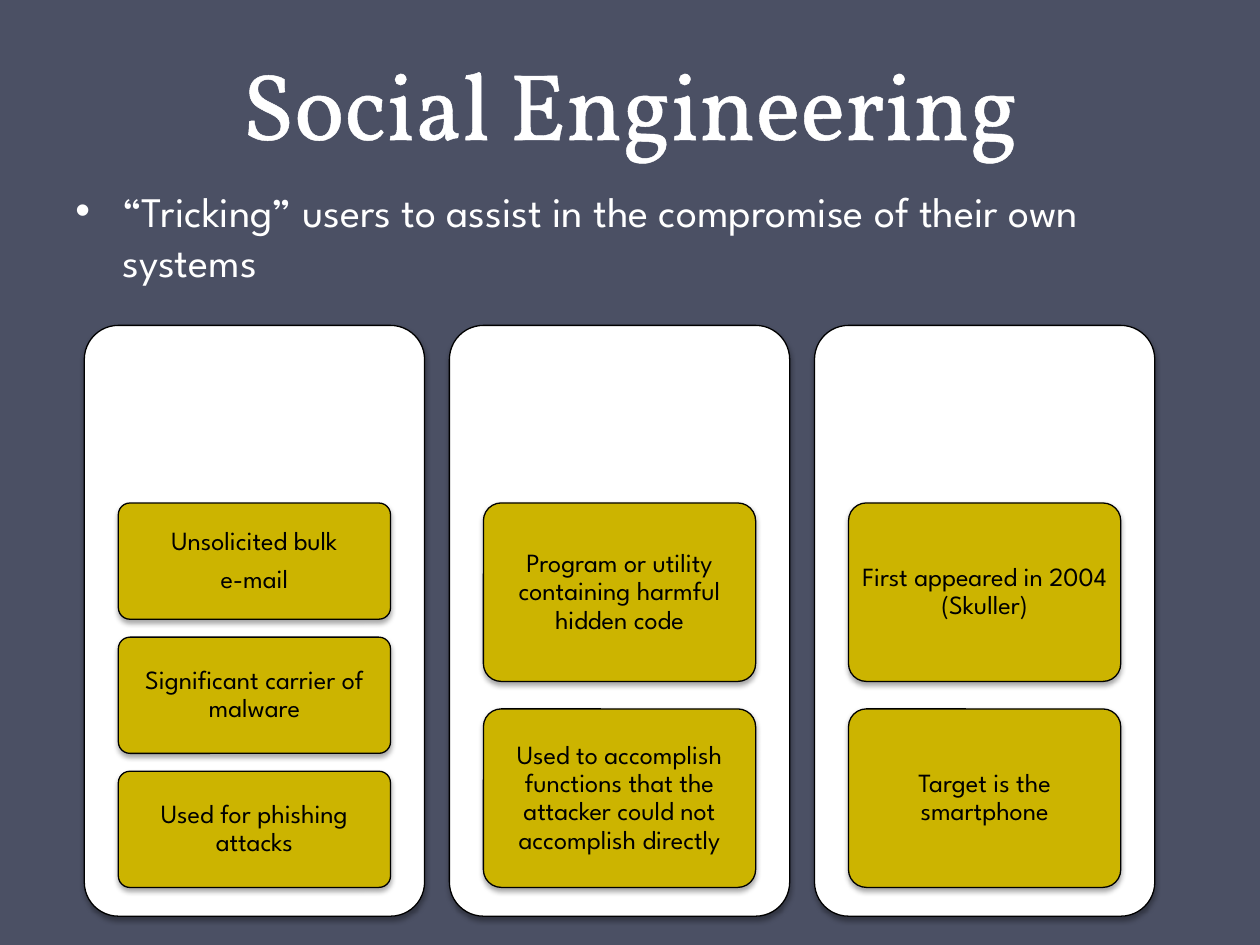
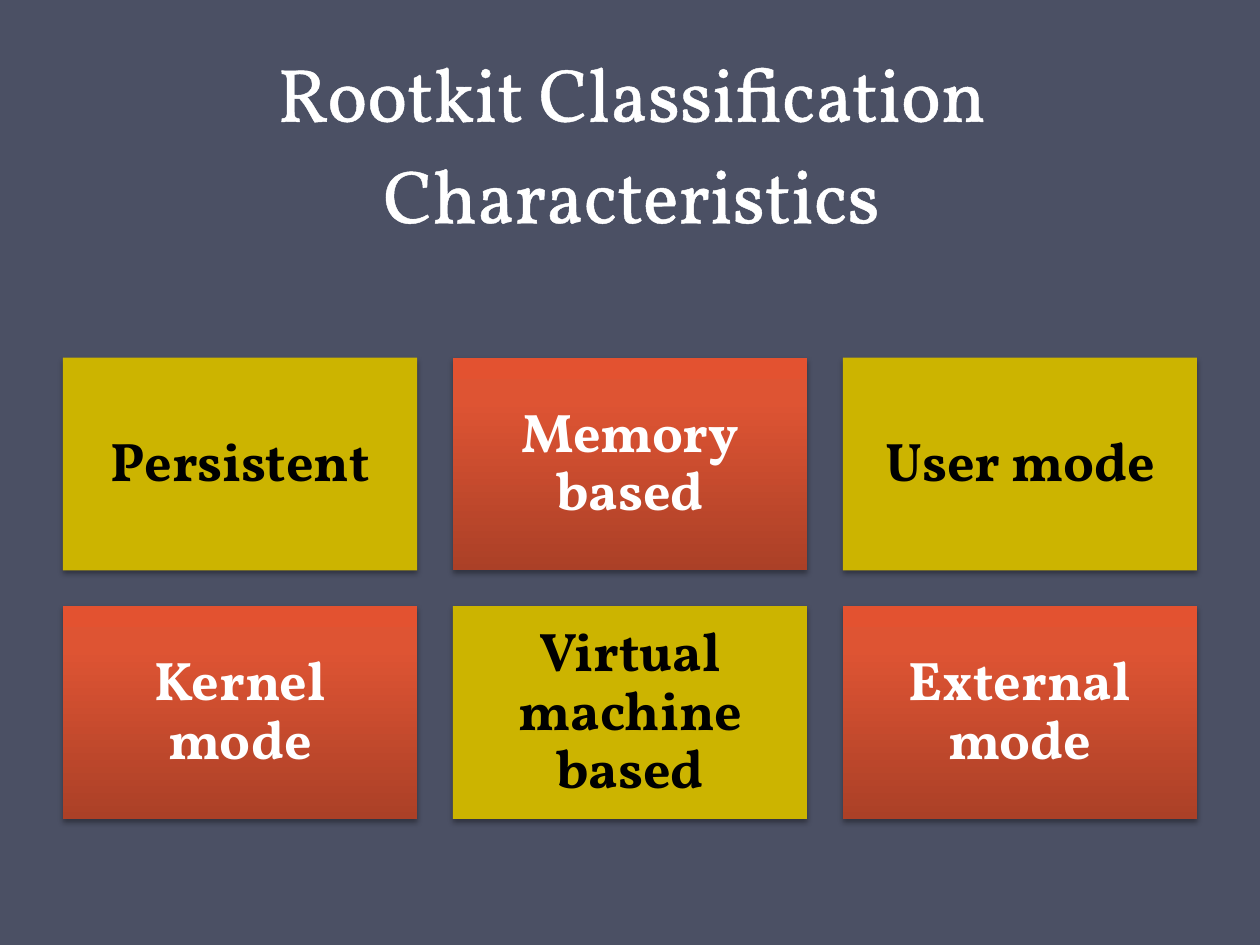
from lxml import etree
from pptx import Presentation
from pptx import util as u
from pptx.dml.color import RGBColor
from pptx.enum import shapes, text
from pptx.oxml import parse_xml
from pptx.oxml.ns import nsdecls, qn

HUES = {"slate": "4B5064", "white": "FFFFFF", "black": "000000", "gold": "CCB400"}
RUST = [(0, "AB4027"), (80, "DE5433"), (100, "E35230")]
SERIF, SANS = "Vollkorn", "League Spartan"

# title, size, box in cm
TITLES = [
    ("Social Engineering", 54, (1.27, 0, 22.86, 3.33)),
    ("Rootkit Classification Characteristics", 43, (1.3, 0.33, 22.86, 4.6)),
]
LEAD = "“Tricking” users to assist in the compromise of their own systems"
# columns of cards, each card a list of paragraphs
PANELS = [
    [["Unsolicited bulk", "e-mail"], ["Significant carrier of malware"],
     ["Used for phishing attacks"]],
    [["Program or utility containing harmful hidden code"],
     ["Used to accomplish functions that the attacker could not accomplish directly"]],
    [["First appeared in 2004 (Skuller)"], ["Target is the smartphone"]],
]
TRAITS = ["Persistent", "Memory based", "User mode",
          "Kernel mode", "Virtual machine based", "External mode"]


def rgb(hue):
    return RGBColor.from_string(HUES[hue])


def cms(box):
    return [u.Cm(side) for side in box]


def add_run(para, words, face, size, hue, bold=False):
    run = para.add_run()
    run.text = words
    font = run.font
    font.name, font.size, font.bold = face, u.Pt(size), bold
    font.color.rgb = rgb(hue)
    return run


def add_title(slide, words, size, box):
    """Fill the title placeholder with thinly outlined text."""
    title = slide.shapes.title
    title.left, title.top, title.width, title.height = cms(box)
    frame = title.text_frame
    frame.auto_size = text.MSO_AUTO_SIZE.NONE
    frame.vertical_anchor = text.MSO_ANCHOR.BOTTOM
    para = frame.paragraphs[0]
    para.alignment = text.PP_ALIGN.CENTER
    para.line_spacing = u.Pt(58)
    run = add_run(para, words, SERIF, size, "white")
    run.font._element.insert(0, parse_xml(
        f'<a:ln {nsdecls("a")} w="{u.Pt(1.45)}"><a:solidFill>'
        f'<a:srgbClr val="{HUES["white"]}"/></a:solidFill></a:ln>'))


def add_lead(slide, words):
    lead = slide.shapes.add_textbox(*cms((1.27, 3.61, 22.86, 3.61)))
    lead.text_frame.word_wrap = True
    para = lead.text_frame.paragraphs[0]
    para.space_before = u.Pt(5)
    props = para._p.get_or_add_pPr()
    props.set("marL", str(u.Cm(0.95)))
    props.set("indent", str(-u.Cm(0.95)))
    etree.SubElement(props, qn("a:buFont")).set("typeface", "Arial")
    etree.SubElement(props, qn("a:buChar")).set("char", "•")
    add_run(para, words, SANS, 24, "white")


def blend(fill, stops):
    """Apply a vertical gradient, first stop at the bottom."""
    fill.gradient()
    fill.gradient_angle = 90
    track = fill._xPr.find(qn("a:gradFill")).find(qn("a:gsLst"))
    track[:] = [parse_xml(f'<a:gs {nsdecls("a")} pos="{pos * 1000}">'
                          f'<a:srgbClr val="{tone}"/></a:gs>') for pos, tone in stops]


def add_block(slide, kind, box, hue, lined=False):
    """Add a shape with a soft shadow below; no hue gives the rust gradient."""
    block = slide.shapes.add_shape(kind, *cms(box))
    if hue:
        block.fill.solid()
        block.fill.fore_color.rgb = rgb(hue)
    else:
        blend(block.fill, RUST)
    if lined:
        block.line.color.rgb = rgb("black")
        block.line.width = u.Pt(0.75)
    else:
        block.line.fill.background()
    block.shadow.inherit = False
    block._element.spPr.find(qn("a:effectLst")).append(parse_xml(
        f'<a:outerShdw {nsdecls("a")} blurRad="{u.Pt(3.1)}" dist="{u.Pt(1.8)}" '
        f'dir="5400000" rotWithShape="0"><a:srgbClr val="{HUES["black"]}">'
        '<a:alpha val="35000"/></a:srgbClr></a:outerShdw>'))
    return block


def add_card(slide, box, lines):
    card = add_block(slide, shapes.MSO_SHAPE.ROUNDED_RECTANGLE, box, "gold", True)
    card.adjustments[0] = 0.1
    write(card, lines, (0.1, 0.08), SANS, 15, "black")


def write(block, lines, pads, face, size, hue, bold=False):
    frame = block.text_frame
    frame.word_wrap = True
    frame.vertical_anchor = text.MSO_ANCHOR.MIDDLE
    frame.margin_left = frame.margin_right = u.Cm(pads[0])
    frame.margin_top = frame.margin_bottom = u.Cm(pads[1])
    for at, line in enumerate(lines):
        para = frame.add_paragraph() if at else frame.paragraphs[0]
        para.alignment = text.PP_ALIGN.CENTER
        para.line_spacing = 0.9
        para.space_after = u.Pt(0.37 * size)
        add_run(para, line, face, size, hue, bold)


def add_panels(slide):
    left, top, wide, high, step = 1.7, 6.56, 6.86, 11.91, 7.36
    start, span, ratio = 10.14, 7.75, 0.154  # card stack; gap as share of card
    for col, cards in enumerate(PANELS):
        x = left + col * step
        panel = add_block(slide, shapes.MSO_SHAPE.ROUNDED_RECTANGLE,
                          (x, top, wide, high), "white", True)
        panel.adjustments[0] = 0.1
        tall = span / (len(cards) + ratio * (len(cards) - 1))
        for row, lines in enumerate(cards):
            y = start + row * tall * (1 + ratio)
            add_card(slide, (x + wide / 10, y, wide * 0.8, tall), lines)


def add_tiles(slide):
    left, top, wide, high, gap = 1.27, 7.21, 7.14, 4.29, 0.72
    for at, trait in enumerate(TRAITS):
        row, col = divmod(at, 3)
        box = (left + col * (wide + gap), top + row * (high + gap), wide, high)
        gold = at % 2 == 0
        tile = add_block(slide, shapes.MSO_SHAPE.RECTANGLE, box, "gold" if gold else None)
        write(tile, [trait], (0.33, 0.33), SERIF, 31, "black" if gold else "white", True)


def main():
    deck = Presentation()
    deck.slide_width, deck.slide_height = u.Cm(25.4), u.Cm(19.05)
    back = deck.slide_master.background.fill
    back.solid()
    back.fore_color.rgb = rgb("slate")
    pages = []
    for title in TITLES:
        page = deck.slides.add_slide(deck.slide_layouts[5])
        add_title(page, *title)
        pages.append(page)
    add_lead(pages[0], LEAD)
    add_panels(pages[0])
    add_tiles(pages[1])
    deck.save("out.pptx")


if __name__ == "__main__":
    main()
